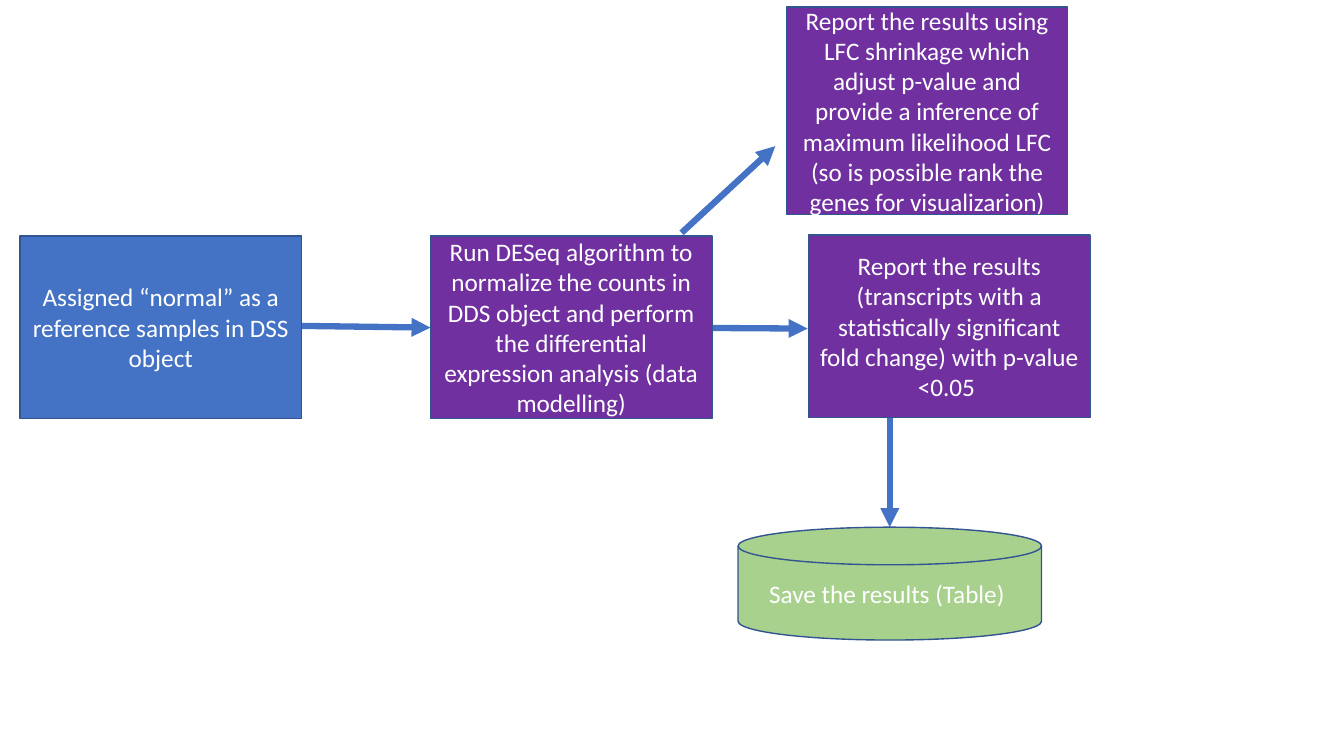
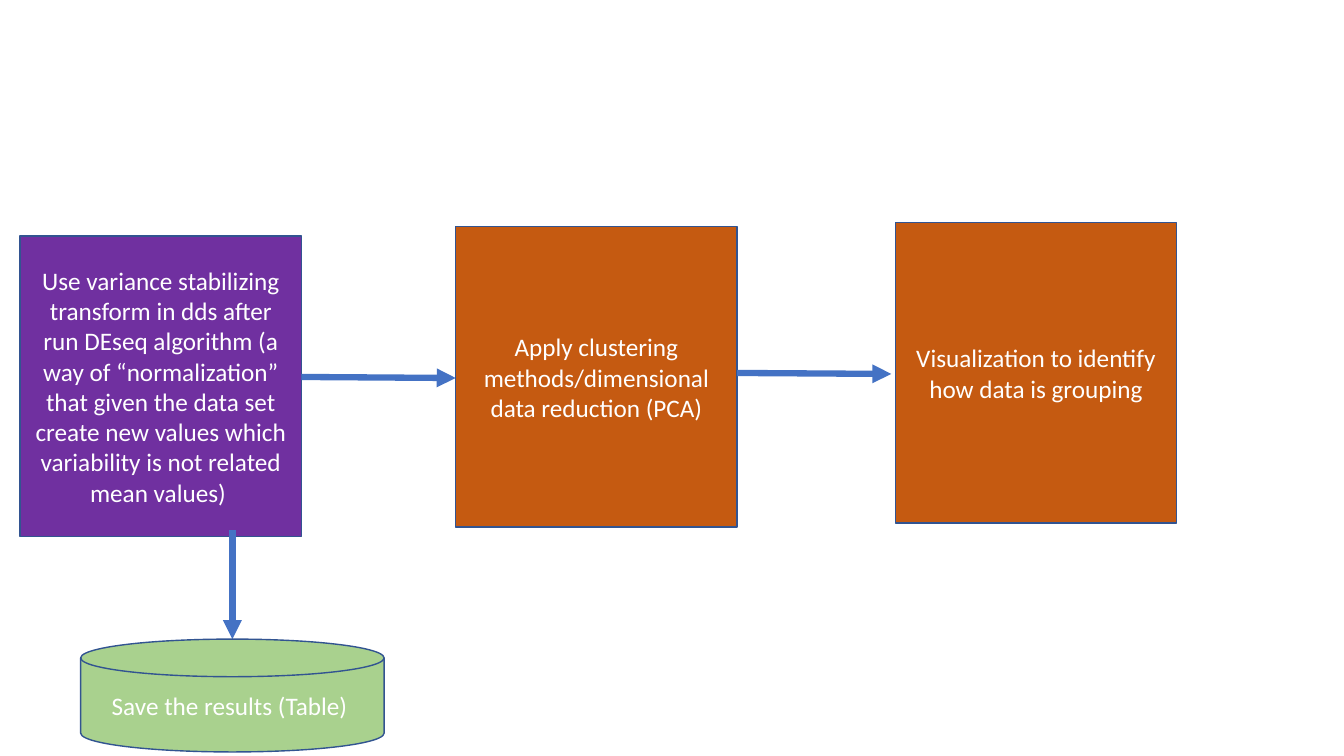
from dataclasses import dataclass
from typing import Any, Union

import lxml.etree
import pptx
import pptx.dml.color
import pptx.enum.shapes
import pptx.enum.text
import pptx.oxml.ns
import pptx.presentation
import pptx.slide
import pptx.util

Inches = pptx.util.Inches
RGBColor = pptx.dml.color.RGBColor
Preset = pptx.enum.shapes.MSO_SHAPE


@dataclass(frozen=True)
class Theme:
    reference: str = "4472C4"
    modelling: str = "7030A0"
    exploration: str = "C55A11"
    storage: str = "A9D18E"
    outline: str = "325491"
    flow: str = "4472C4"
    text: str = "FFFFFF"
    font: str = "Calibri"
    text_size: float = 18
    outline_width: float = 1
    flow_width: float = 4.5


THEME = Theme()
FONT_FORMAT = {"name": THEME.font, "size": pptx.util.Pt(THEME.text_size)}
FRAME_FORMAT = {
    "word_wrap": True,
    "vertical_anchor": pptx.enum.text.MSO_ANCHOR.MIDDLE,
}
STEP_WIDTH = 2.79
SHORT, TALL, EXPLORE = 1.81, 2.06, 2.98
STORE_WIDTH, STORE_HEIGHT = 3.01, 1.12
DROP = 1.08


@dataclass(frozen=True)
class Step:
    text: str
    left: float
    top: float
    height: float
    fill: str = THEME.modelling
    width: float = STEP_WIDTH
    outline: Any = Preset.RECTANGLE


@dataclass(frozen=True)
class Flow:
    x: float
    y: float
    end_x: float
    end_y: float


Part = Union[Step, Flow]


def saved_results(left: float, top: float) -> list[Part]:
    entry = left + STORE_WIDTH / 2
    return [
        Flow(entry, top - DROP, entry, top),
        Step("Save the results (Table) ", left, top, STORE_HEIGHT,
             THEME.storage, STORE_WIDTH, Preset.FLOWCHART_MAGNETIC_DISK),
    ]


DIFFERENTIAL_EXPRESSION: list[Part] = [
    Flow(2.74, 3.23, 4.27, 3.25),
    Step("Assigned “normal” as a reference samples in DSS object",
         0.2, 2.34, SHORT, THEME.reference),
    Flow(6.48, 3.25, 8.01, 3.26),
    Step("Run DESeq algorithm to normalize the counts in DDS object and "
         "perform the differential expression analysis (data modelling)",
         4.27, 2.34, SHORT),
    Step("Report the results (transcripts with a statistically significant "
         "fold change) with p-value <0.05 ", 8.02, 2.33, SHORT),
    *saved_results(7.32, 5.23),
    Flow(6.76, 2.31, 7.69, 1.45),
    Step("Report the results using LFC shrinkage which adjust p-value and "
         "provide a inference of maximum likelihood LFC (so is possible rank "
         "the genes for visualizarion)", 7.8, 0.07, TALL),
]

CLUSTERING: list[Part] = [
    Step("Use variance stabilizing transform in dds after run DEseq algorithm "
         "(a way of “normalization” that given the data set create new values "
         "which variability is not related mean values) ", 0.2, 2.34, EXPLORE),
    Flow(2.99, 3.74, 4.52, 3.75),
    Step("Apply clustering methods/dimensional data reduction (PCA)",
         4.52, 2.25, EXPLORE, THEME.exploration),
    *saved_results(0.8, 6.34),
    Flow(7.31, 3.7, 8.84, 3.71),
    Step("Visualization to identify how data is grouping",
         8.88, 2.21, EXPLORE, THEME.exploration),
]


def apply_format(target: Any, values: dict[str, Any]) -> None:
    for attribute, value in values.items():
        setattr(target, attribute, value)


def style_line(line: Any, color: str, width: float) -> None:
    line.color.rgb = RGBColor.from_string(color)
    line.width = pptx.util.Pt(width)


def draw_step(slide: pptx.slide.Slide, step: Step) -> None:
    block = slide.shapes.add_shape(
        step.outline, Inches(step.left), Inches(step.top),
        Inches(step.width), Inches(step.height))
    block.shadow.inherit = False
    block.fill.solid()
    block.fill.fore_color.rgb = RGBColor.from_string(step.fill)
    style_line(block.line, THEME.outline, THEME.outline_width)
    apply_format(block.text_frame, FRAME_FORMAT)
    paragraph = block.text_frame.paragraphs[0]
    paragraph.alignment = pptx.enum.text.PP_ALIGN.CENTER
    wording = paragraph.add_run()
    wording.text = step.text
    apply_format(wording.font, FONT_FORMAT)
    wording.font.color.rgb = RGBColor.from_string(THEME.text)


def draw_flow(slide: pptx.slide.Slide, flow: Flow) -> None:
    arrow = slide.shapes.add_connector(
        pptx.enum.shapes.MSO_CONNECTOR.STRAIGHT,
        Inches(flow.x), Inches(flow.y), Inches(flow.end_x), Inches(flow.end_y))
    style_line(arrow.line, THEME.flow, THEME.flow_width)
    qn = pptx.oxml.ns.qn
    properties = arrow.element.spPr
    lxml.etree.SubElement(
        properties.find(qn("a:ln")), qn("a:tailEnd"), type="triangle")
    lxml.etree.SubElement(properties, qn("a:effectLst"))


def build_slide(deck: pptx.presentation.Presentation,
                parts: list[Part]) -> None:
    slide = deck.slides.add_slide(deck.slide_layouts[6])
    for part in parts:
        if isinstance(part, Step):
            draw_step(slide, part)
        else:
            draw_flow(slide, part)


def main() -> None:
    deck = pptx.Presentation()
    apply_format(deck, {"slide_width": Inches(13.33),
                        "slide_height": Inches(7.5)})
    for parts in (DIFFERENTIAL_EXPRESSION, CLUSTERING):
        build_slide(deck, parts)
    deck.save("out.pptx")


if __name__ == "__main__":
    main()
